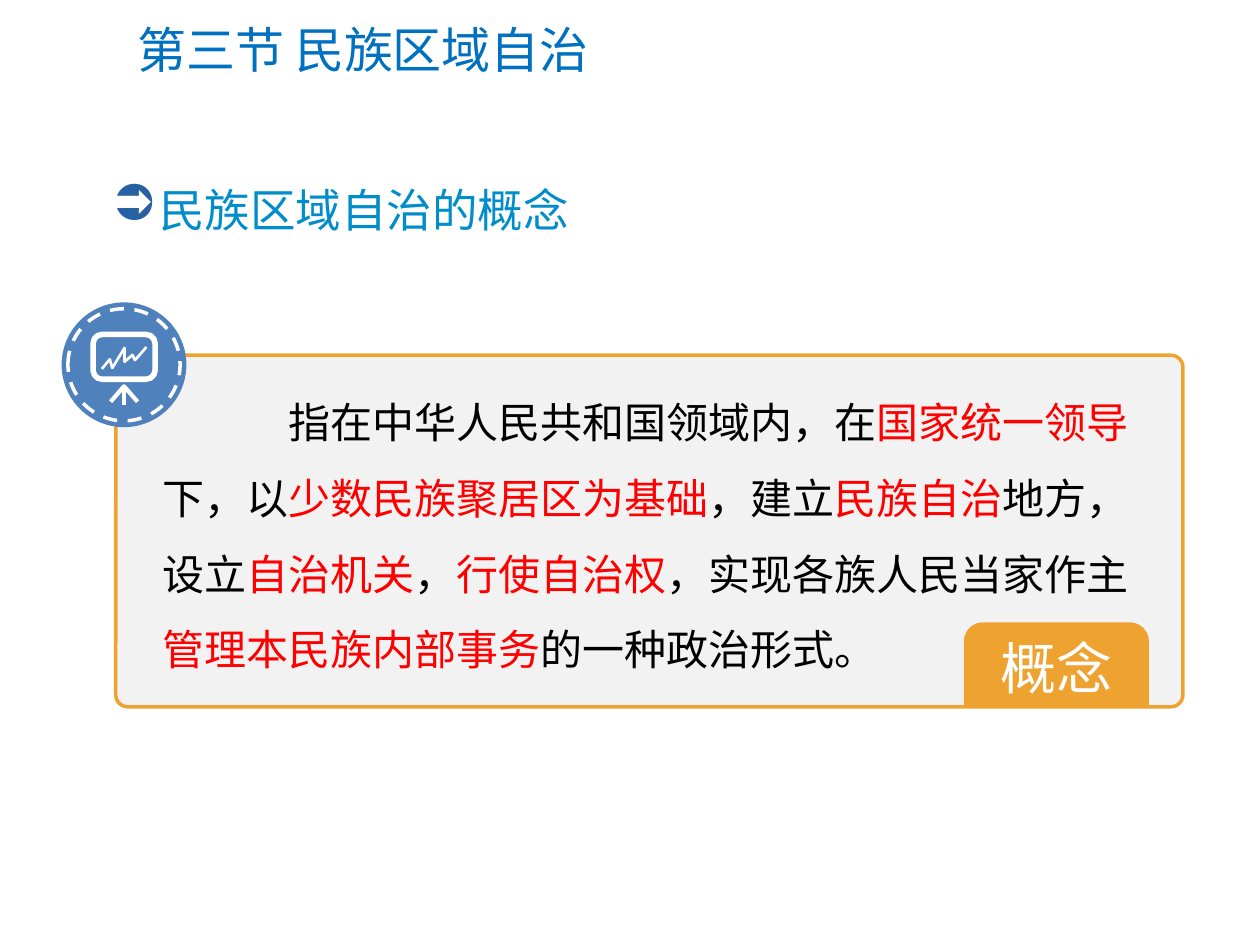
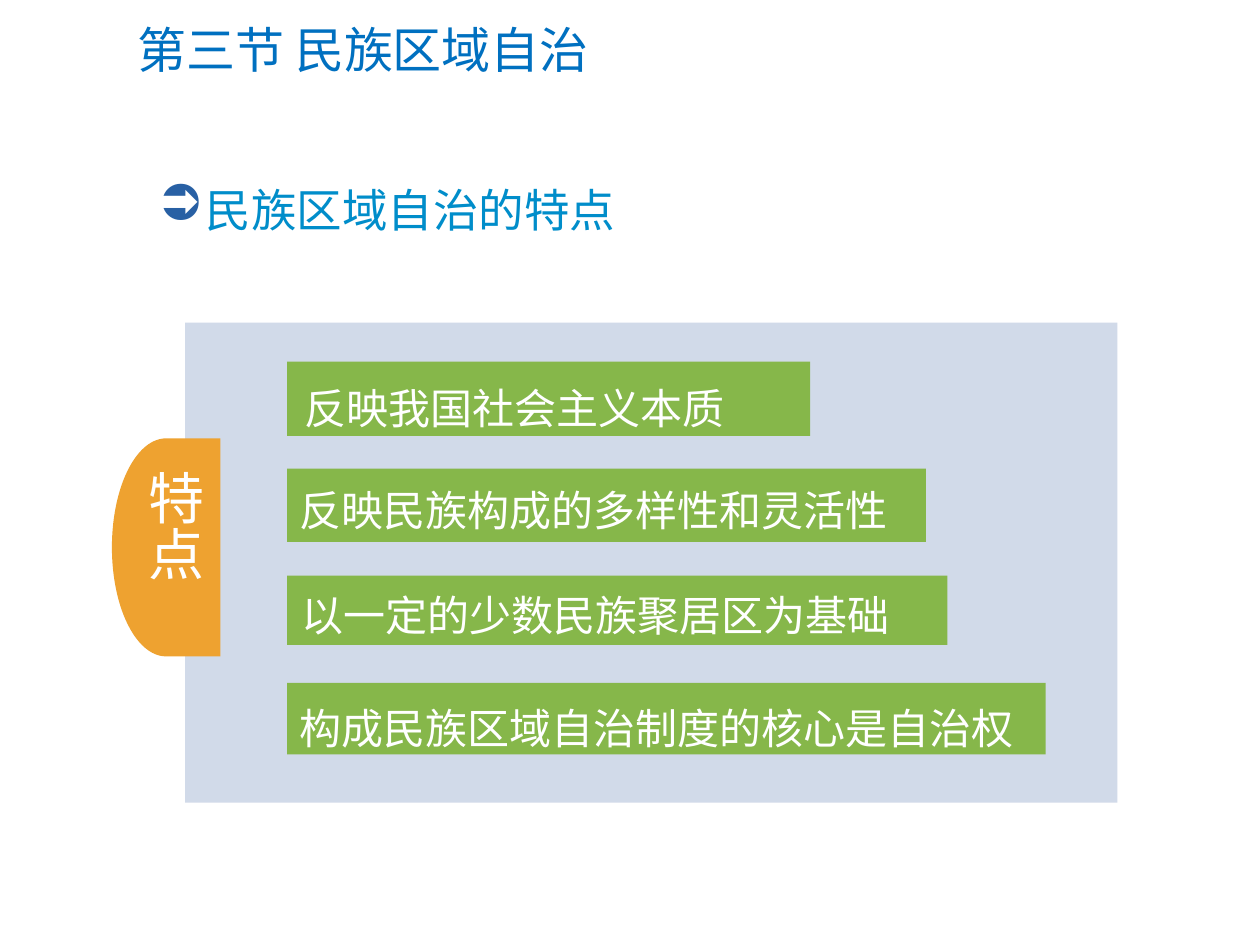
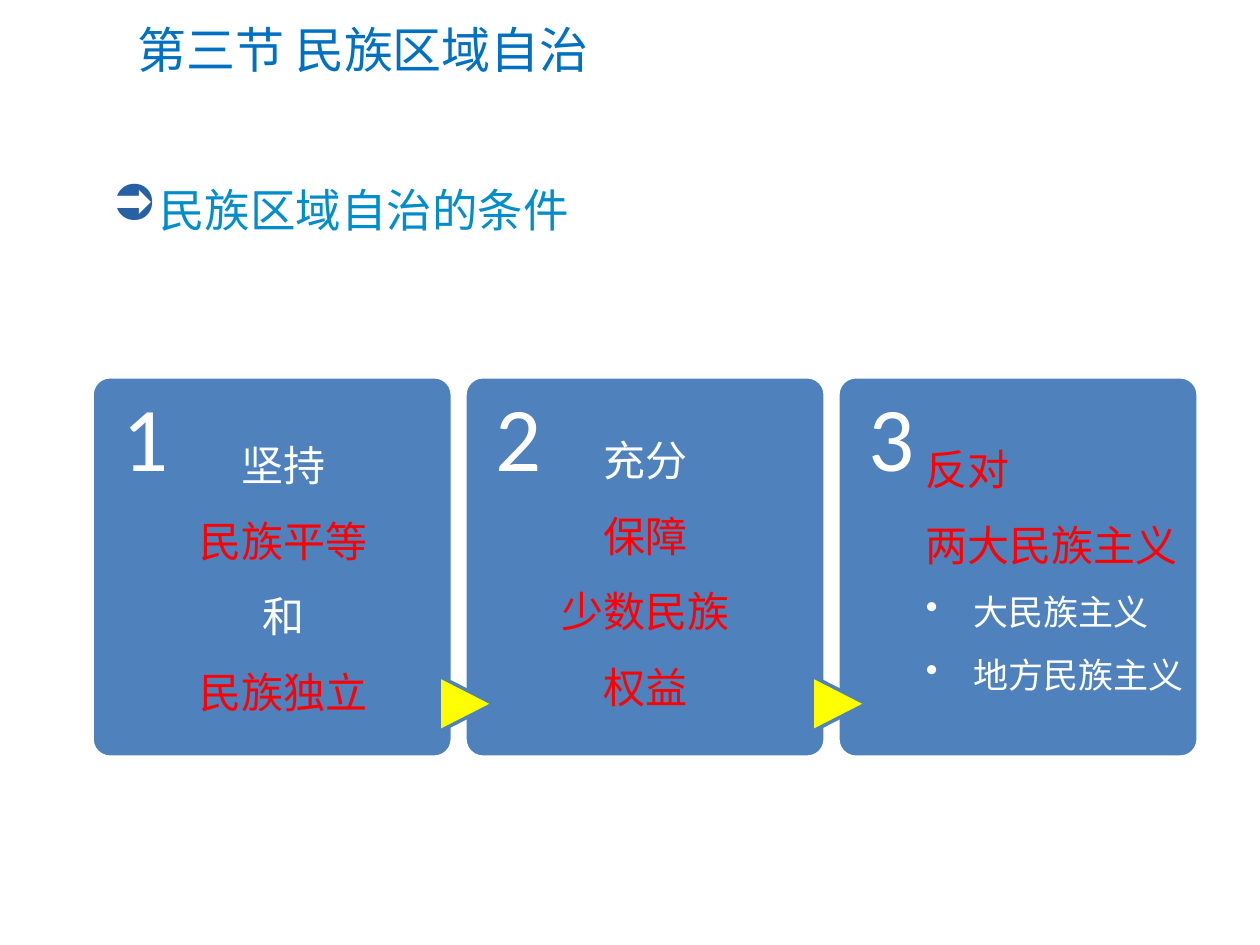
from dataclasses import dataclass

from lxml.etree import SubElement
from pptx import Presentation
from pptx.dml.color import RGBColor
from pptx.enum.dml import MSO_LINE
from pptx.enum.lang import MSO_LANGUAGE_ID as Language
from pptx.enum.shapes import MSO_SHAPE as Preset
from pptx.enum.text import MSO_ANCHOR as Anchor, PP_ALIGN as Align
from pptx.oxml.ns import qn
from pptx.util import Pt


@dataclass(frozen=True)
class Theme:
    """Colours, fonts and type sizes shared by the slides."""
    title: str = "0070C0"
    heading: str = "008DCA"
    arrow_bullet: str = "2860A4"
    blue: str = "4F81BD"
    orange: str = "EEA230"
    green: str = "86B74A"
    pale_blue: str = "D1DAE9"
    grey: str = "F2F2F2"
    yellow: str = "FFFF00"
    red: str = "FF0000"
    white: str = "FFFFFF"
    black: str = "000000"
    latin_font: str = "Calibri"
    body_font: str = "Noto Sans CJK SC"
    title_size: int = 28
    heading_size: int = 26
    body_size: int = 24
    small_size: int = 20
    label_size: int = 32
    number_size: int = 52
    line_pitch: float = 1.8
    hanging: int = 27


THEME = Theme()


@dataclass(frozen=True)
class Box:
    """A rectangle in points."""
    left: float
    top: float
    width: float
    height: float

    def inner(self, left, top, width, height):
        """Return a box placed relative to this one."""
        return Box(self.left + left, self.top + top, width, height)

    def lengths(self):
        """Return the four sides as slide lengths."""
        return [Pt(side) for side in (self.left, self.top, self.width, self.height)]


@dataclass(frozen=True)
class Line:
    """One paragraph made of (text, colour) runs."""
    runs: tuple
    size: float = THEME.body_size
    font: str = THEME.body_font
    align: Align = Align.LEFT
    pitch: float = 0
    first_indent: float = 0
    bullet: str = ""
    bullet_colour: str = ""


def body_line(*runs, **options):
    """Return a widely spaced body paragraph."""
    size = options.get("size", THEME.body_size)
    return Line(runs, pitch=size * THEME.line_pitch, **options)


def rgb(colour):
    """Turn a hex string into a colour."""
    return RGBColor.from_string(colour)


def style(shape, fill=None, line=None, weight=2):
    """Set fill and outline, and remove the shadow."""
    shape.shadow.inherit = False
    if fill:
        shape.fill.solid()
        shape.fill.fore_color.rgb = rgb(fill)
    else:
        shape.fill.background()
    if line:
        shape.line.color.rgb = rgb(line)
        shape.line.width = Pt(weight)
    else:
        shape.line.fill.background()


def add_preset(slide, preset, box, fill=None, line=None, weight=2, adjustments=()):
    """Add a styled preset shape."""
    shape = slide.shapes.add_shape(preset, *box.lengths())
    for index, value in enumerate(adjustments):
        shape.adjustments[index] = value
    style(shape, fill, line, weight)
    return shape


def add_stroke(slide, box, points, weight):
    """Draw an open white line through points relative to the box."""
    corners = [(Pt(box.left + x), Pt(box.top + y)) for x, y in points]
    builder = slide.shapes.build_freeform(*corners[0], scale=1.0)
    builder.add_line_segments(corners[1:], close=False)
    style(builder.convert_to_shape(), line=THEME.white, weight=weight)


def set_bullet(paragraph, line):
    """Give a paragraph a hanging bullet."""
    properties = paragraph._p.get_or_add_pPr()
    properties.set("marL", str(Pt(THEME.hanging)))
    properties.set("indent", str(-Pt(THEME.hanging)))
    if line.bullet_colour:
        colour = SubElement(properties, qn("a:buClr"))
        SubElement(colour, qn("a:srgbClr"), val=line.bullet_colour)
        SubElement(properties, qn("a:buSzPct"), val="110000")
    SubElement(properties, qn("a:buChar"), char=line.bullet)


def write(shape, lines, anchor=Anchor.TOP):
    """Fill a shape with formatted paragraphs."""
    frame = shape.text_frame
    frame.word_wrap = True
    frame.vertical_anchor = anchor
    for index, line in enumerate(lines):
        paragraph = frame.add_paragraph() if index else frame.paragraphs[0]
        paragraph.alignment = line.align
        if line.pitch:
            paragraph.line_spacing = Pt(line.pitch)
        if line.first_indent:
            paragraph._p.get_or_add_pPr().set("indent", str(Pt(line.first_indent)))
        if line.bullet:
            set_bullet(paragraph, line)
        for text, colour in line.runs:
            run = paragraph.add_run()
            run.text = text
            run.font.size = Pt(line.size)
            run.font.name = line.font
            run.font.color.rgb = rgb(colour)
            run.font.language_id = Language.SIMPLIFIED_CHINESE


def set_margins(frame, left=0, top=0, right=0, bottom=0):
    """Set the insets of a text frame."""
    frame.margin_left, frame.margin_top = Pt(left), Pt(top)
    frame.margin_right, frame.margin_bottom = Pt(right), Pt(bottom)


def add_text(slide, box, lines, anchor=Anchor.TOP):
    """Add a wrapping text box."""
    write(slide.shapes.add_textbox(*box.lengths()), lines, anchor)


def start_slide(presentation, heading, heading_left):
    """Add a slide with the section title and a bulleted heading."""
    slide = presentation.slides.add_slide(presentation.slide_layouts[5])
    title = slide.shapes.title
    title.left, title.top, title.width, title.height = Box(71.3, 7.2, 627.8, 41.8).lengths()
    write(title, [Line((("第三节 民族区域自治", THEME.title),), THEME.title_size,
                       THEME.latin_font)], Anchor.MIDDLE)
    line = Line(((heading, THEME.heading),), THEME.heading_size, THEME.latin_font,
                bullet="➲", bullet_colour=THEME.arrow_bullet)
    add_text(slide, Box(heading_left, 100.1, 600.5, 38.9), [line], Anchor.MIDDLE)
    return slide


def add_label(slide, preset, box, text, adjustments=()):
    """Add an orange label with large white text."""
    label = add_preset(slide, preset, box, THEME.orange, adjustments=adjustments)
    set_margins(label.text_frame)
    write(label, [Line(((text, THEME.white),), THEME.label_size, align=Align.CENTER)],
          Anchor.MIDDLE)
    return label


def add_easel_badge(slide, box):
    """Draw a round badge with a chart on an easel."""
    add_preset(slide, Preset.OVAL, box, THEME.blue)
    ring = add_preset(slide, Preset.OVAL,
                      box.inner(3.6, 3.6, box.width - 7.2, box.height - 7.2),
                      THEME.blue, THEME.white)
    ring.line.dash_style = MSO_LINE.DASH
    add_preset(slide, Preset.ROUNDED_RECTANGLE, box.inner(18, 18.3, 35.4, 25.6),
               line=THEME.white, weight=3.2, adjustments=[0.2])
    add_stroke(slide, box, [(23, 38), (27.6, 32.5), (29, 37.5), (36, 26), (36, 34),
                            (40.5, 30), (42, 33), (48.5, 25.5)], 1.5)
    add_stroke(slide, box, [(28, 56.8), (35.7, 48), (43.4, 56.8)], 2.4)
    add_stroke(slide, box, [(35.7, 48), (35.7, 58.5)], 2.4)


def add_concept_panel(slide, box):
    """Place the definition panel with its badge and label."""
    add_preset(slide, Preset.ROUNDED_RECTANGLE, box, THEME.grey, THEME.orange,
               adjustments=[0.034])
    add_easel_badge(slide, box.inner(-31, -30.2, 71.3, 71.3))
    parts = ("指在中华人民共和国领域内，在", "国家统一领导", "下，以", "少数民族聚居区为基础",
             "，建立", "民族自治", "地方，设立", "自治机关", "，", "行使自治权",
             "，实现各族人民当家作主", "管理本民族内部事务", "的一种政治形式。")
    colours = (THEME.black, THEME.red)
    runs = [(part, colours[index % 2]) for index, part in enumerate(parts)]
    add_text(slide, box.inner(19.4, 5.8, 570.3, 181.4),
             [body_line(*runs, first_indent=72)])
    add_label(slide, Preset.ROUND_2_SAME_RECTANGLE, box.inner(484.6, 152.6, 105.8, 48.3),
              "概念", [0.226, 0])


def add_feature_panel(slide, box):
    """Place the feature bars on a pale panel with a side label."""
    add_preset(slide, Preset.RECTANGLE, box, THEME.pale_blue)
    label = add_label(slide, Preset.FLOWCHART_DELAY, box.inner(-41.8, 66.2, 61.9, 124.6),
                      "特点")
    label._element.spPr.xfrm.set("flipH", "1")
    label.text_frame._txBody.bodyPr.set("vert", "eaVert")
    features = (
        ("反映我国社会主义本质", 298.8, 42.5, 2.9, -5.8),
        ("反映民族构成的多样性和灵活性", 365, 41.8, 0, -8.6),
        ("以一定的少数民族聚居区为基础", 377.3, 39.6, 1.4, -10.1),
        ("构成民族区域自治制度的核心是自治权", 433.4, 41, 0, -6.5),
    )
    for row, (text, width, height, shift, rise) in enumerate(features):
        bar = box.inner(58.3, 22.3 + 61.2 * row, width, height)
        add_preset(slide, Preset.RECTANGLE, bar, THEME.green)
        add_text(slide, bar.inner(shift, rise, width, 55), [body_line((text, THEME.white))])


def add_condition_card(slide, box, number, text_box, lines):
    """Place one numbered card with its text."""
    card = add_preset(slide, Preset.ROUNDED_RECTANGLE, box, THEME.blue, THEME.white,
                      adjustments=[0.05])
    set_margins(card.text_frame, left=14.4, top=4.5)
    write(card, [Line(((str(number), THEME.white),), THEME.number_size, THEME.latin_font,
                      pitch=57)])
    add_text(slide, box.inner(*text_box), lines)


def add_condition_row(slide, box, pitch):
    """Place three cards from the first card's box, joined by arrowheads."""
    def centred(text, colour):
        return body_line((text, colour), align=Align.CENTER)

    def bulleted(text):
        return body_line((text, THEME.white), size=THEME.small_size, bullet="•")

    cards = (
        ((38.2, 18, 142.6, 181.4),
         [centred("坚持", THEME.white), centred("民族平等", THEME.red),
          centred("和", THEME.white), centred("民族独立", THEME.red)]),
        ((31.7, 15.1, 142.6, 181.4),
         [centred("充分", THEME.white)]
         + [centred(text, THEME.red) for text in ("保障", "少数民族", "权益")]),
        ((43.2, 20.2, 163, 167),
         [body_line((text, THEME.red)) for text in ("反对", "两大民族主义")]
         + [bulleted(text) for text in ("大民族主义", "地方民族主义")]),
    )
    for index, (text_box, lines) in enumerate(cards):
        add_condition_card(slide, box.inner(pitch * index, 0, box.width, box.height),
                           index + 1, text_box, lines)
    for index in range(len(cards) - 1):
        arrow = add_preset(slide, Preset.FLOWCHART_EXTRACT,
                           box.inner(198 + pitch * index, 171.4, 31.7, 31),
                           THEME.yellow, THEME.blue)
        arrow.rotation = 90


def main():
    """Build and save the three slides."""
    presentation = Presentation()
    presentation.slide_width, presentation.slide_height = Pt(720), Pt(540)
    concept = start_slide(presentation, "民族区域自治的概念", 56.9)
    add_concept_panel(concept, Box(66.2, 203, 609.8, 200.9))
    features = start_slide(presentation, "民族区域自治的特点", 83.5)
    add_feature_panel(features, Box(105.8, 184.3, 532.8, 274.3))
    conditions = start_slide(presentation, "民族区域自治的条件", 56.9)
    add_condition_row(conditions, Box(52.6, 215.3, 205.9, 217.4), 213.1)
    presentation.save("out.pptx")


if __name__ == "__main__":
    main()
